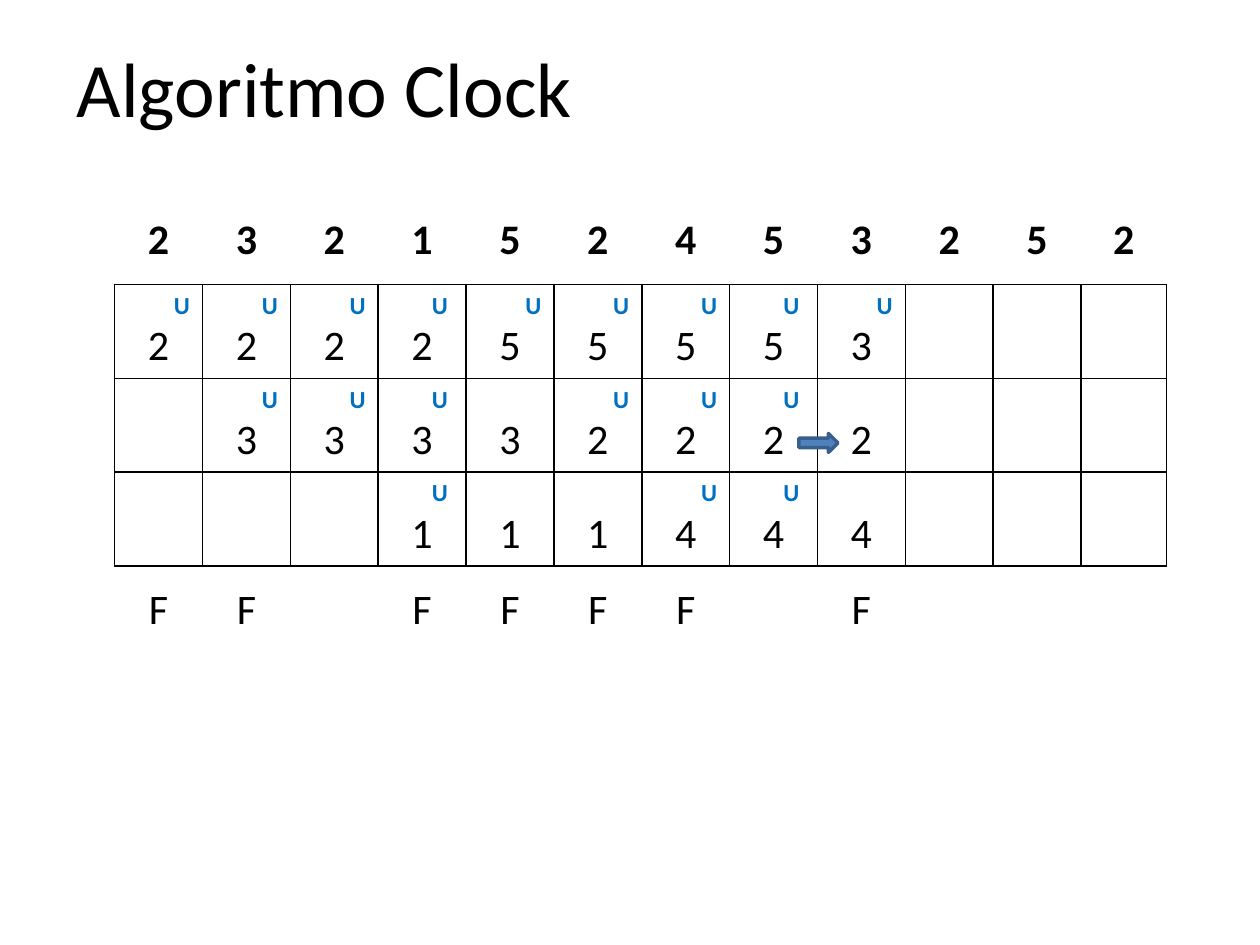
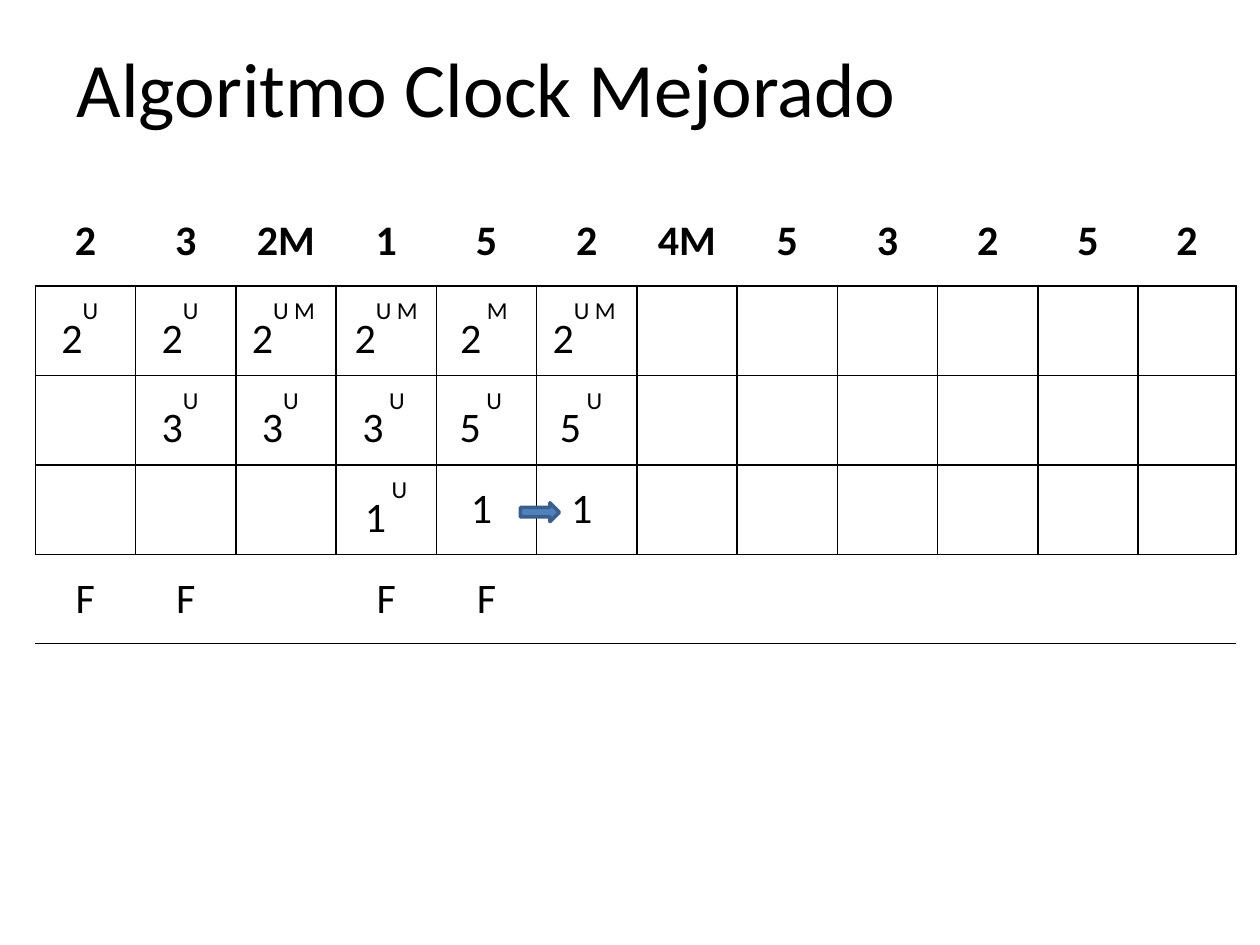
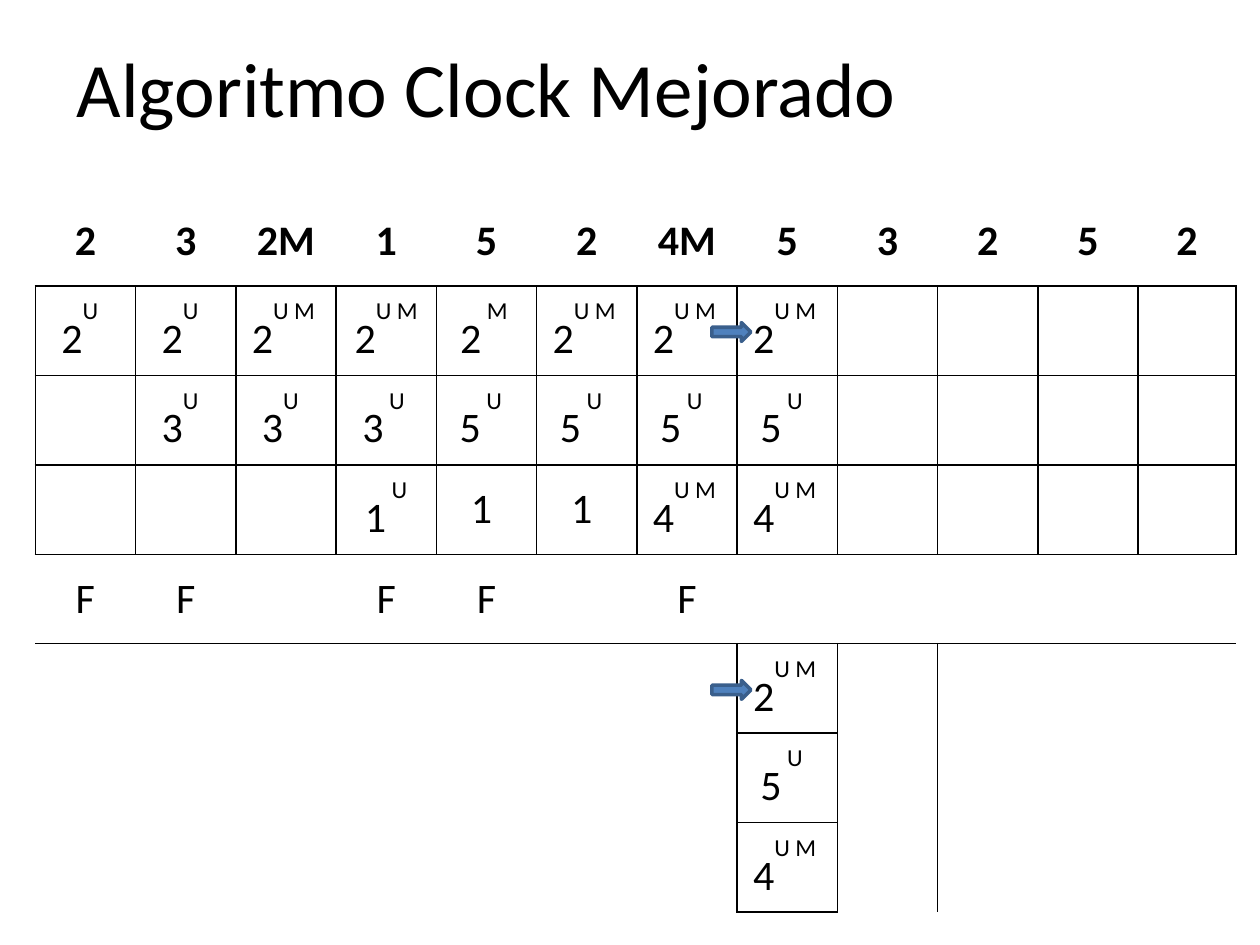
from itertools import product

from lxml import etree
from pptx import Presentation
from pptx.dml.color import RGBColor
from pptx.enum.shapes import MSO_SHAPE
from pptx.enum.text import MSO_ANCHOR, PP_ALIGN
from pptx.oxml.ns import qn
from pptx.util import Inches, Pt

RIGHT_ARROW = MSO_SHAPE.RIGHT_ARROW
MIDDLE, BOTTOM = MSO_ANCHOR.MIDDLE, MSO_ANCHOR.BOTTOM
LEFT, CENTER, RIGHT = PP_ALIGN.LEFT, PP_ALIGN.CENTER, PP_ALIGN.RIGHT

COLORS = {"text": "000000", "used": "0070C0", "arrow": "4F81BD", "arrow_line": "3A5F8C"}
FONT = "Calibri"
TITLE = {"size": Pt(44), "bold": False}
REQUEST = {"size": Pt(24), "bold": True}
PAGE = {"size": Pt(24), "bold": False}
USED_BIT = {"size": Pt(14), "bold": True}
PLAIN_STYLE = "{2D5ABB26-0587-4C30-8999-92F81FD0307C}"
SIDES = {"lnL": (0, -1), "lnR": (0, 1), "lnT": (-1, 0), "lnB": (1, 0)}
COLUMNS = 12
ROW_HEIGHT = 0.71
ARROW_SIZE = (0.31, 0.15)
MARGIN = 0.1

CLOCK_BOX = (0.91, 1.55, 8.35)
CLOCK_REQUESTS = "2 3 2 1 5 2 4 5 3 2 5 2".split()
CLOCK_FRAMES = [
    ("222255553", "UUUUUUUUU"),
    (" 33332222", " UUU UUU "),
    ("   111444", "   U  UU "),
]
CLOCK_INSET_COLUMNS = (3, 7)

IMPROVED_BOX = (0.28, 1.56, 9.53)
IMPROVED_REQUESTS = "2 3 2M 1 5 2 4M 5 3 2 5 2".split()
TWO_USED = ("2", "U", 0.09)
TWO_MODIFIED = ("2", "U M", 0.04)
THREE_USED = ("3", "U", 0.09)
FIVE_USED = ("5", " U", 0.09)
ONE_IDLE = ("1", "", 0.08)
FOUR_MODIFIED = ("4", "U M", 0.04)
IMPROVED_FRAMES = [
    [TWO_USED, TWO_USED, TWO_MODIFIED, ("2", "U M", 0), ("2", " M", 0.04), TWO_MODIFIED],
    [None, THREE_USED, THREE_USED, ("3", " U", 0.04), FIVE_USED, FIVE_USED],
    [None, None, None, ("1", " U", 0), ONE_IDLE, ONE_IDLE],
]
NEXT_PAGES = [TWO_MODIFIED, FIVE_USED, FOUR_MODIFIED]
NEXT_COLUMN = 7


def color(name):
    return RGBColor.from_string(COLORS[name])


def add_run(paragraph, text, style, color_name="text"):
    run = paragraph.add_run()
    run.text = text
    for name, value in {"name": FONT, **style}.items():
        setattr(run.font, name, value)
    run.font.color.rgb = color(color_name)
    return run


def add_title_slide(presentation, text, width):
    slide = presentation.slides.add_slide(presentation.slide_layouts[5])
    title = slide.shapes.title
    box = {"left": 0.51, "top": 0.29, "width": width, "height": 0.79}
    for name, value in box.items():
        setattr(title, name, Inches(value))
    title.text_frame.vertical_anchor = MIDDLE
    paragraph = title.text_frame.paragraphs[0]
    paragraph.alignment = LEFT
    add_run(paragraph, text, TITLE)
    return slide


def draw_border(cell, side):
    line = etree.SubElement(cell._tc.get_or_add_tcPr(), qn(f"a:{side}"), w=str(Pt(1)))
    fill = etree.SubElement(line, qn("a:solidFill"))
    etree.SubElement(fill, qn("a:srgbClr"), val=COLORS["text"])


def add_memory_table(slide, box, row_count, framed):
    left, top, width = box
    graphic = slide.shapes.add_table(
        row_count, COLUMNS, Inches(left), Inches(top), Inches(width), Inches(ROW_HEIGHT * row_count)
    )
    table = graphic.table
    table.first_row = table.horz_banding = False
    table._tbl.tblPr.find(qn("a:tableStyleId")).text = PLAIN_STYLE
    for row in table.rows:
        row.height = Inches(ROW_HEIGHT)
    column_width = (width + 0.02) / COLUMNS
    for column in table.columns:
        column.width = Inches(column_width)
    table.columns[COLUMNS - 1].width = Inches(column_width - 0.02)
    for row, column in product(range(row_count), range(COLUMNS)):
        cell = table.cell(row, column)
        cell.vertical_anchor = MIDDLE
        for side, (down, across) in SIDES.items():
            if framed & {(row, column), (row + down, column + across)}:
                draw_border(cell, side)
        cell.fill.background()
    return table


def fill_row(table, row, texts, style):
    for column, text in enumerate(texts):
        if text.strip():
            paragraph = table.cell(row, column).text_frame.paragraphs[0]
            paragraph.alignment = CENTER
            add_run(paragraph, text, style)


def write_stacked_page(cell, page, mark):
    cell.vertical_anchor = BOTTOM
    paragraph = cell.text_frame.paragraphs[0]
    if mark.strip():
        paragraph.alignment = RIGHT
        add_run(paragraph, mark, USED_BIT, "used")
        paragraph = cell.text_frame.add_paragraph()
    paragraph.alignment = CENTER
    add_run(paragraph, page, PAGE)


def write_marked_page(cell, page, mark, inset):
    cell.margin_right = Inches(MARGIN + inset)
    paragraph = cell.text_frame.paragraphs[0]
    paragraph.alignment = CENTER
    add_run(paragraph, page, PAGE)
    if mark:
        run = add_run(paragraph, mark, PAGE)
        run._r.get_or_add_rPr().set("baseline", "80000")


def add_pointer(slide, left, top):
    arrow = slide.shapes.add_shape(
        RIGHT_ARROW, Inches(left), Inches(top), *map(Inches, ARROW_SIZE)
    )
    arrow.shadow.inherit = False
    arrow.fill.solid()
    arrow.fill.fore_color.rgb = color("arrow")
    arrow.line.color.rgb = color("arrow_line")
    arrow.line.width = Pt(2)


def frame_cells():
    return set(product(range(1, 4), range(COLUMNS)))


def add_clock_slide(presentation):
    slide = add_title_slide(presentation, "Algoritmo Clock", 4.96)
    table = add_memory_table(slide, CLOCK_BOX, 5, frame_cells())
    fill_row(table, 0, CLOCK_REQUESTS, REQUEST)
    for row, (pages, marks) in enumerate(CLOCK_FRAMES, 1):
        for column, (page, mark) in enumerate(zip(pages, marks)):
            if page.strip():
                gap = " " if column in CLOCK_INSET_COLUMNS else ""
                write_stacked_page(table.cell(row, column), page, mark + gap)
    fill_row(table, 4, "FF FFFF F", PAGE)
    add_pointer(slide, 6.34, 3.44)


def add_improved_slide(presentation, frames, faults, pointers, next_pages=()):
    slide = add_title_slide(presentation, "Algoritmo Clock Mejorado", 7.4)
    next_cells = {(row, NEXT_COLUMN): page for row, page in enumerate(next_pages, 5)}
    row_count = 5 + max(1, len(next_pages))
    table = add_memory_table(slide, IMPROVED_BOX, row_count, frame_cells() | set(next_cells))
    fill_row(table, 0, IMPROVED_REQUESTS, REQUEST)
    pages = {
        (row, column): page
        for row, frame in enumerate(frames, 1)
        for column, page in enumerate(frame)
        if page
    }
    for position, page in {**pages, **next_cells}.items():
        write_marked_page(table.cell(*position), *page)
    fill_row(table, 4, faults, PAGE)
    for pointer in pointers:
        add_pointer(slide, *pointer)


def main():
    presentation = Presentation()
    presentation.slide_width = Inches(10)
    presentation.slide_height = Inches(7.5)
    add_clock_slide(presentation)
    add_improved_slide(presentation, IMPROVED_FRAMES, "FF FF", [(4.13, 3.99)])
    later_frames = [frame + [page] * 2 for frame, page in zip(IMPROVED_FRAMES, NEXT_PAGES)]
    add_improved_slide(
        presentation, later_frames, "FF FF F", [(5.65, 2.56), (5.65, 5.4)], NEXT_PAGES
    )
    presentation.save("out.pptx")


if __name__ == "__main__":
    main()
